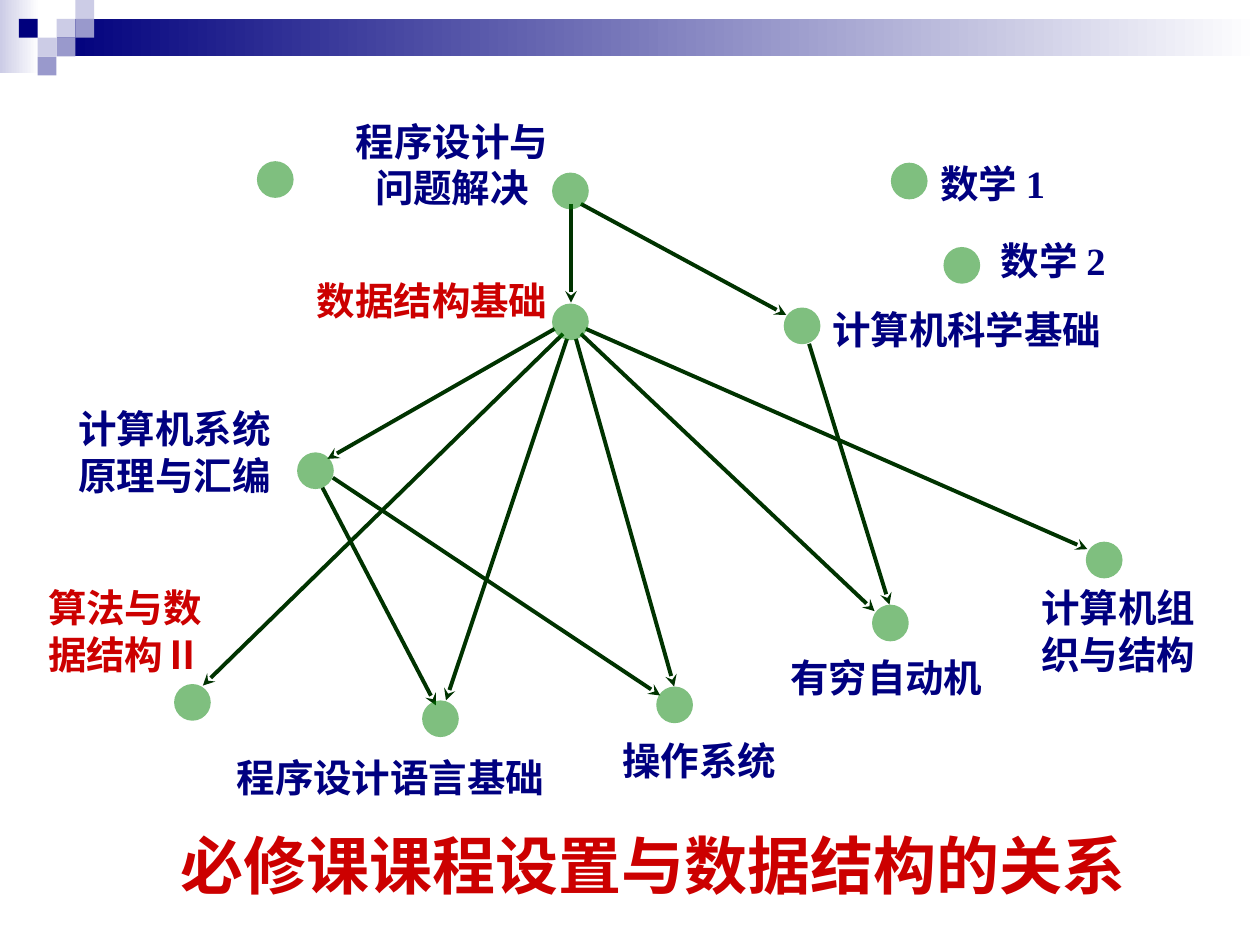
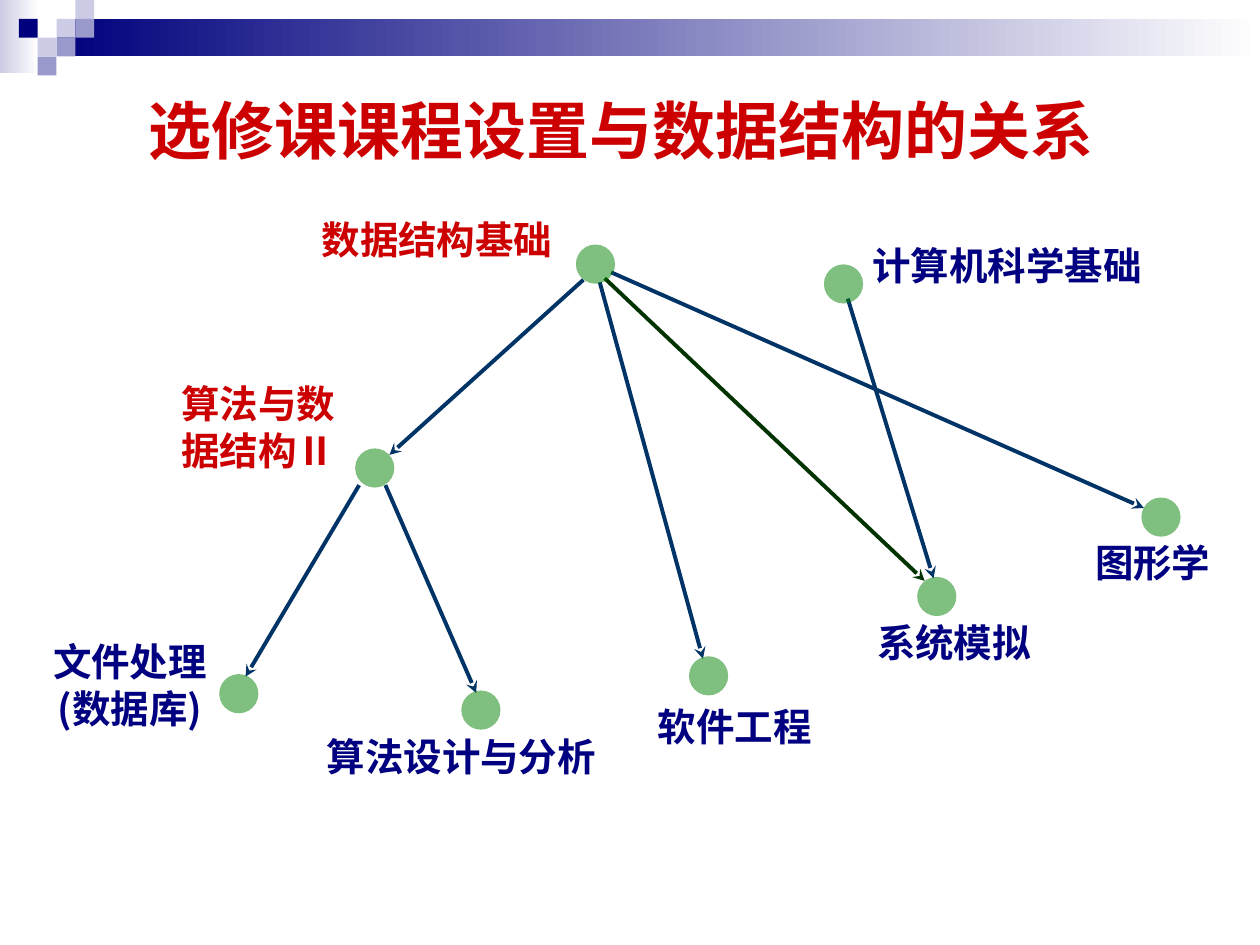
import lxml.etree
import pptx
import pptx.dml.color
import pptx.enum.shapes
import pptx.enum.text
import pptx.oxml.ns
import pptx.util
from pptx.util import Cm

COLOURS = {
    "white": "FFFFFF", "pale": "CCCCE6", "lilac": "9999CC", "navy": "00007D",
    "title": "CC0000", "core": "CC0000", "course": "000080", "node": "008000",
    "green": "003300", "blue": "003366",
}
LABEL_FONT = "Times New Roman"
TITLE_FONT = "Arial"
CHINESE_FONT = "Noto Sans CJK SC"
SQUARE = 0.38
LABEL_MARGIN = 0.25

# label, colour, label font, circle position, label position
REQUIRED_COURSES = [
    (None, None, None, (5.18, 3.25), None),
    ("程序设计与\n问题解决", "course", LABEL_FONT, (11.13, 3.48), (6.91, 2.13)),
    ("数据结构基础", "core", LABEL_FONT, (11.13, 6.12), (6.12, 5.33)),
    ("数学 1", "course", LABEL_FONT, (17.96, 3.28), (18.59, 2.97)),
    ("数学 2", "course", LABEL_FONT, (19.02, 4.98), (19.81, 4.52)),
    ("计算机科学基础", "course", LABEL_FONT, (15.8, 6.2), (16.51, 5.92)),
    ("计算机系统\n原理与汇编", "course", LABEL_FONT, (5.99, 9.12), (1.32, 7.92)),
    ("算法与数\n据结构Ⅱ", "core", LABEL_FONT, (3.51, 13.79), (0.71, 11.53)),
    ("程序设计语言基础", "course", LABEL_FONT, (8.51, 14.12), (4.5, 14.94)),
    ("操作系统", "course", LABEL_FONT, (13.23, 13.84), (12.29, 14.61)),
    ("有穷自动机", "course", LABEL_FONT, (17.58, 12.19), (15.67, 12.93)),
    ("计算机组\n织与结构", "course", LABEL_FONT, (21.89, 10.92), (20.73, 11.53)),
]
ELECTIVE_COURSES = [
    ("数据结构基础", "core", LABEL_FONT, (11.61, 4.93), (6.22, 4.11)),
    ("计算机科学基础", "course", LABEL_FONT, (16.61, 5.33), (17.32, 4.62)),
    ("算法与数\n据结构Ⅱ", "core", LABEL_FONT, (7.16, 9.04), (3.4, 7.42)),
    ("文件处理\n(数据库)", "course", CHINESE_FONT, (4.42, 13.59), (0.81, 12.62)),
    ("算法设计与分析", "course", LABEL_FONT, (9.3, 13.92), (6.32, 14.53)),
    ("软件工程", "course", LABEL_FONT, (13.89, 13.23), (13, 13.92)),
    ("系统模拟", "course", LABEL_FONT, (18.49, 11.63), (17.42, 12.22)),
    ("图形学", "course", LABEL_FONT, (23.01, 10.03), (21.82, 10.62)),
]

# start x, start y, end x, end y, colour
REQUIRED_ARROWS = [
    (11.51, 4.11, 11.51, 6.1, "green"),
    (11.18, 6.63, 6.6, 9.25, "green"),
    (11.35, 6.73, 4.09, 13.82, "green"),
    (11.43, 6.83, 8.99, 14.12, "green"),
    (11.61, 6.83, 13.59, 13.84, "green"),
    (11.71, 6.73, 17.63, 12.32, "green"),
    (11.81, 6.63, 21.92, 11.07, "green"),
    (11.71, 4.11, 15.85, 6.35, "green"),
    (16.31, 6.93, 17.93, 12.19, "green"),
    (6.5, 9.83, 8.79, 14.22, "green"),
    (6.71, 9.63, 13.31, 14.02, "green"),
]
ELECTIVE_ARROWS = [
    (11.76, 5.64, 7.85, 9.17, "blue"),
    (12.09, 5.69, 14.17, 13.28, "blue"),
    (12.19, 5.61, 18.64, 11.71, "green"),
    (12.32, 5.49, 23.06, 10.24, "blue"),
    (17.09, 6.02, 18.82, 11.66, "blue"),
    (7.24, 9.78, 4.95, 13.64, "blue"),
    (7.77, 9.78, 9.6, 13.97, "blue"),
]

# title, title box, circle diameter, courses, arrows
PAGES = [
    ("必修课课程设置与数据结构的关系", (3.23, 16.54, 19.86, 1.78), 0.74,
     REQUIRED_COURSES, REQUIRED_ARROWS),
    ("选修课课程设置与数据结构的关系", (1.09, 1.57, 22.86, 2.06), 0.79,
     ELECTIVE_COURSES, ELECTIVE_ARROWS),
]


def rgb(name):
    return pptx.dml.color.RGBColor.from_string(COLOURS[name])


def style_text(paragraph, size, colour, font_name):
    """Centre a bold paragraph and give its Latin and Chinese fonts."""
    paragraph.alignment = pptx.enum.text.PP_ALIGN.CENTER
    for span in paragraph.runs:
        properties = span._r.get_or_add_rPr()
        chinese = lxml.etree.SubElement(properties, pptx.oxml.ns.qn("a:ea"))
        chinese.set("typeface", CHINESE_FONT)
        span.font.name = font_name
        span.font.size = pptx.util.Pt(size)
        span.font.bold = True
        span.font.color.rgb = rgb(colour)


deck = pptx.Presentation()
deck.slide_width, deck.slide_height = Cm(25.4), Cm(19.05)
title_only = deck.slide_layouts[5]
pages = [deck.slides.add_slide(title_only) for _ in PAGES]

# Header band: built once, then moved to the master behind its placeholders.
header = [(0, 0, 0.79, 1.47, "pale", True), (1.14, 0.38, 24.26, 0.76, "navy", True)]
for column, row, colour in [
    (3, 1, "pale"), (4, 0, "pale"), (4, 1, "lilac"), (2, 2, "pale"),
    (1, 1, "navy"), (3, 2, "lilac"), (2, 3, "lilac"),
]:
    header.append((column * SQUARE, row * SQUARE, SQUARE, SQUARE, colour, False))

master_tree = deck.slide_master.shapes._spTree
for position, (left, top, width, height, colour, fades) in enumerate(header, start=2):
    block = pages[0].shapes.add_shape(
        pptx.enum.shapes.MSO_SHAPE.RECTANGLE, Cm(left), Cm(top), Cm(width), Cm(height))
    block.shadow.inherit = False
    block.line.fill.background()
    if fades:
        block.fill.gradient()
        block.fill.gradient_angle = 0
        for stop, stop_colour in zip(block.fill.gradient_stops, (colour, "white")):
            stop.color.rgb = rgb(stop_colour)
    else:
        block.fill.solid()
        block.fill.fore_color.rgb = rgb(colour)
    master_tree.insert(position, block._element)

for page, (title_text, title_box, diameter, courses, arrows) in zip(pages, PAGES):
    title = page.shapes.title
    title.left, title.top, title.width, title.height = map(Cm, title_box)
    title.text_frame.text = title_text
    title.text_frame.auto_size = pptx.enum.text.MSO_AUTO_SIZE.NONE
    title.text_frame.vertical_anchor = pptx.enum.text.MSO_ANCHOR.MIDDLE
    style_text(title.text_frame.paragraphs[0], 36, "title", TITLE_FONT)

    for start_x, start_y, end_x, end_y, colour in arrows:
        arrow = page.shapes.add_connector(
            pptx.enum.shapes.MSO_CONNECTOR.STRAIGHT,
            Cm(start_x), Cm(start_y), Cm(end_x), Cm(end_y))
        arrow.line.color.rgb = rgb(colour)
        arrow.line.width = pptx.util.Pt(2.25)
        tail = lxml.etree.SubElement(arrow.line._ln, pptx.oxml.ns.qn("a:tailEnd"))
        tail.set("type", "stealth")
        lxml.etree.SubElement(arrow._element.spPr, pptx.oxml.ns.qn("a:effectLst"))

    for label, colour, font_name, node_at, label_at in courses:
        node = page.shapes.add_shape(
            pptx.enum.shapes.MSO_SHAPE.OVAL, *map(Cm, node_at), Cm(diameter), Cm(diameter))
        node.shadow.inherit = False
        node.line.fill.background()
        node.fill.solid()
        node.fill.fore_color.rgb = rgb("node")
        node_colour = node._element.spPr.find(".//" + pptx.oxml.ns.qn("a:srgbClr"))
        alpha = lxml.etree.SubElement(node_colour, pptx.oxml.ns.qn("a:alpha"))
        alpha.set("val", "50000")
        if label is None:
            continue

        # Chinese characters are one unit wide, Latin ones half a unit.
        lines = label.split("\n")
        units = max(sum(1 if ord(char) > 255 else 0.5 for char in line) for line in lines)
        box = page.shapes.add_textbox(
            *map(Cm, label_at), Cm(0.5 + 0.78 * units), Cm(0.5 + 0.93 * len(lines)))
        frame = box.text_frame
        frame.word_wrap = False
        frame.vertical_anchor = pptx.enum.text.MSO_ANCHOR.MIDDLE
        frame.margin_left = frame.margin_right = Cm(LABEL_MARGIN)
        frame.margin_top = frame.margin_bottom = Cm(LABEL_MARGIN)
        frame.text = label
        for para in frame.paragraphs:
            style_text(para, 22, colour, font_name)
            para.line_spacing = pptx.util.Pt(26.5)

deck.save("out.pptx")
